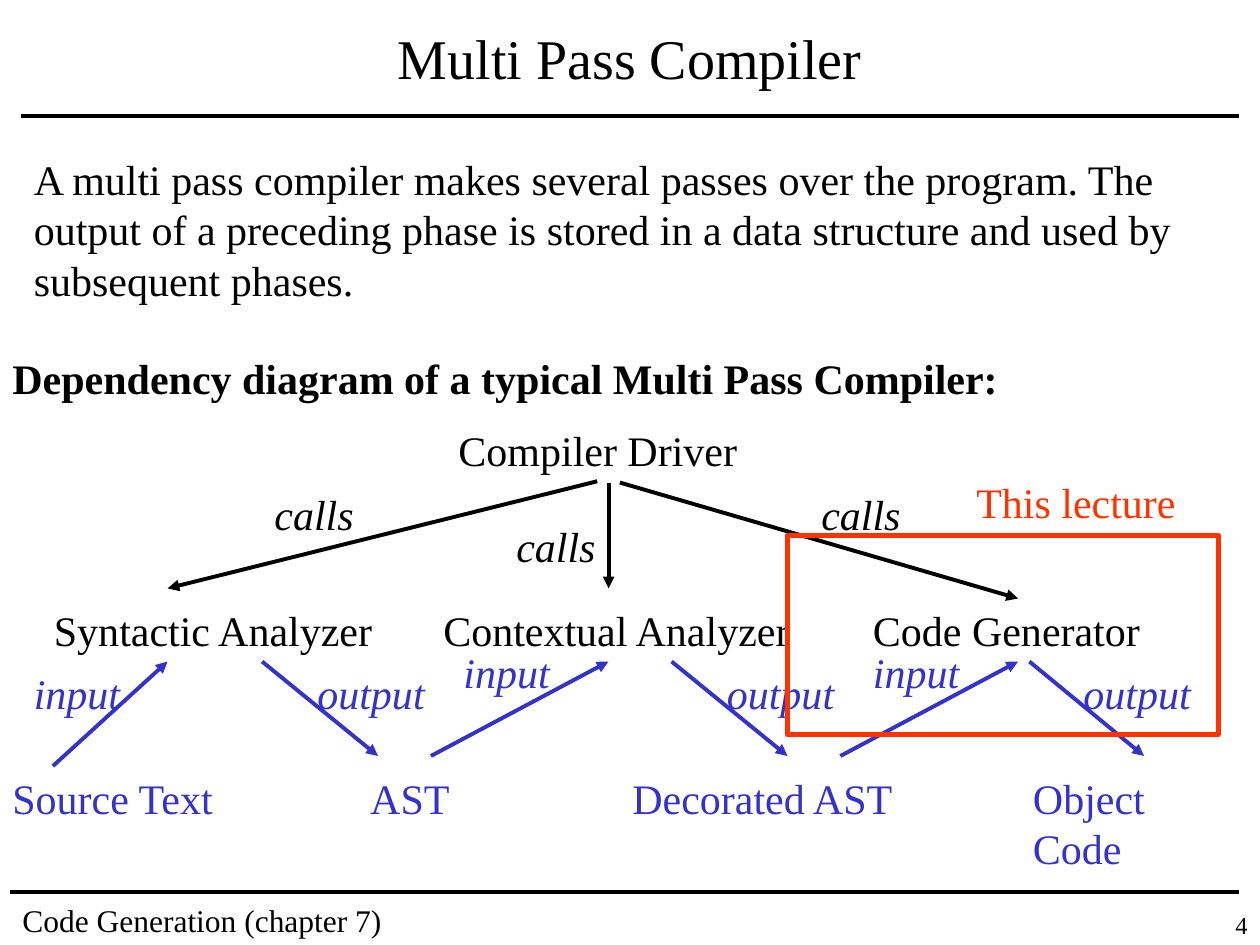
from lxml import etree
from pptx import Presentation, util as u
from pptx.dml.color import RGBColor
from pptx.enum import shapes, text
from pptx.oxml import ns

COLORS = {"black": "000000", "blue": "3333CC", "red": "FF3300"}
FONT = "Times New Roman"
ROW_HEIGHT = 0.5


def add_label(slide, content, left, top, width, height=ROW_HEIGHT, color="black",
              wrap=False, align="LEFT", anchor="TOP", **font_values):
    """Add a text box with one formatted paragraph."""
    box = slide.shapes.add_textbox(*map(u.Inches, (left, top, width, height)))
    frame = box.text_frame
    frame.word_wrap = wrap
    frame.vertical_anchor = getattr(text.MSO_ANCHOR, anchor)
    paragraph = frame.paragraphs[0]
    paragraph.alignment = getattr(text.PP_ALIGN, align)
    run = paragraph.add_run()
    run.text = content
    for name, value in {"name": FONT, "size": u.Pt(24), **font_values}.items():
        setattr(run.font, name, value)
    run.font.color.rgb = RGBColor.from_string(COLORS[color])


def add_line(slide, start, end, color="black", arrow=True):
    """Add a straight line, with an arrowhead at its end if wanted."""
    connector = slide.shapes.add_connector(
        shapes.MSO_CONNECTOR.STRAIGHT, *map(u.Inches, (*start, *end)))
    connector.line.width = u.Pt(2.25)
    connector.line.color.rgb = RGBColor.from_string(COLORS[color])
    if arrow:
        outline = connector.line._get_or_add_ln()
        etree.SubElement(outline, ns.qn("a:tailEnd"), type="triangle")
    etree.SubElement(connector._element.spPr, ns.qn("a:effectLst"))


def add_frame(slide, left, top, width, height, color):
    """Add an unfilled rectangle that marks an area."""
    shape = slide.shapes.add_shape(
        shapes.MSO_SHAPE.RECTANGLE, *map(u.Inches, (left, top, width, height)))
    shape.shadow.inherit = False
    shape.fill.background()
    shape.line.width = u.Pt(3)
    shape.line.color.rgb = RGBColor.from_string(COLORS[color])


def add_calls(slide):
    """Add the driver, the phases and the calls between them."""
    add_label(slide, "Compiler Driver", 3.54, 3.32, 2.41)
    phases = [
        ("Syntactic Analyzer", 0.33, 2.74, (4.74, 3.82), (1.33, 4.67), (2.08, 3.83)),
        ("Contextual Analyzer", 3.42, 2.97, (4.83, 3.83), (4.83, 4.67), (4, 4.08)),
        ("Code Generator", 6.83, 2.32, (4.92, 3.83), (8.08, 4.75), (6.42, 3.83)),
    ]
    for name, left, width, start, end, call in phases:
        add_line(slide, start, end)
        add_label(slide, name, left, 4.75, width)
        add_label(slide, "calls", *call, 0.83, italic=True)


def add_data_flow(slide):
    """Add the data passed between phases, with input and output arrows."""
    data = [("Source Text", 0, 1.82), ("AST", 2.84, 0.83),
            ("Decorated AST", 4.92, 2.28), ("Object Code", 8.1, 1.87)]
    for name, left, width in data:
        add_label(slide, name, left, 6.08, width, color="blue")
    flows = [
        ("input", (0.42, 6.08), (1.33, 5.25), (0.17, 5.25)),
        ("output", (2.08, 5.25), (3, 6), (2.42, 5.25)),
        ("input", (3.42, 6), (4.83, 5.25), (3.58, 5.08)),
        ("output", (5.33, 5.25), (6.25, 6), (5.67, 5.25)),
        ("input", (6.67, 6), (8.08, 5.25), (6.83, 5.08)),
        ("output", (8.17, 5.25), (9.08, 6), (8.5, 5.25)),
    ]
    widths = {"input": 1.17, "output": 1.42}
    for name, start, end, position in flows:
        add_line(slide, start, end, "blue")
        add_label(slide, name, *position, widths[name], color="blue",
                  wrap=True, italic=True)


def main():
    """Build the slide and save it."""
    presentation = Presentation()
    presentation.slide_width = u.Inches(10)
    presentation.slide_height = u.Inches(7.5)
    slide = presentation.slides.add_slide(presentation.slide_layouts[6])
    add_line(slide, (0.17, 0.92), (9.83, 0.92), arrow=False)
    add_line(slide, (0.08, 7.08), (9.83, 7.08), arrow=False)
    add_label(slide, "Code Generation (chapter 7)", 0.08, 7.1, 3.83, 0.4,
              wrap=True, size=u.Pt(18))
    add_label(slide, "Multi Pass Compiler", 0.25, 0.08, 9.5, 0.75, wrap=True,
              align="CENTER", anchor="MIDDLE", size=u.Pt(32))
    add_label(slide, "A multi pass compiler makes several passes over the program. "
              "The output of a preceding phase is stored in a data structure "
              "and used by subsequent phases.", 0.17, 1.17, 9.67, 1.3, wrap=True)
    add_label(slide, "Dependency diagram of a typical Multi Pass Compiler:",
              0, 2.75, 8.02, bold=True)
    add_calls(slide)
    add_data_flow(slide)
    add_frame(slide, 6.25, 4.25, 3.42, 1.58, "red")
    add_label(slide, "This lecture", 7.65, 3.73, 1.78, color="red")
    add_label(slide, "4", 9.25, 7.17, 0.75, 0.33, wrap=True, align="RIGHT",
              size=u.Pt(14))
    presentation.save("out.pptx")


if __name__ == "__main__":
    main()
